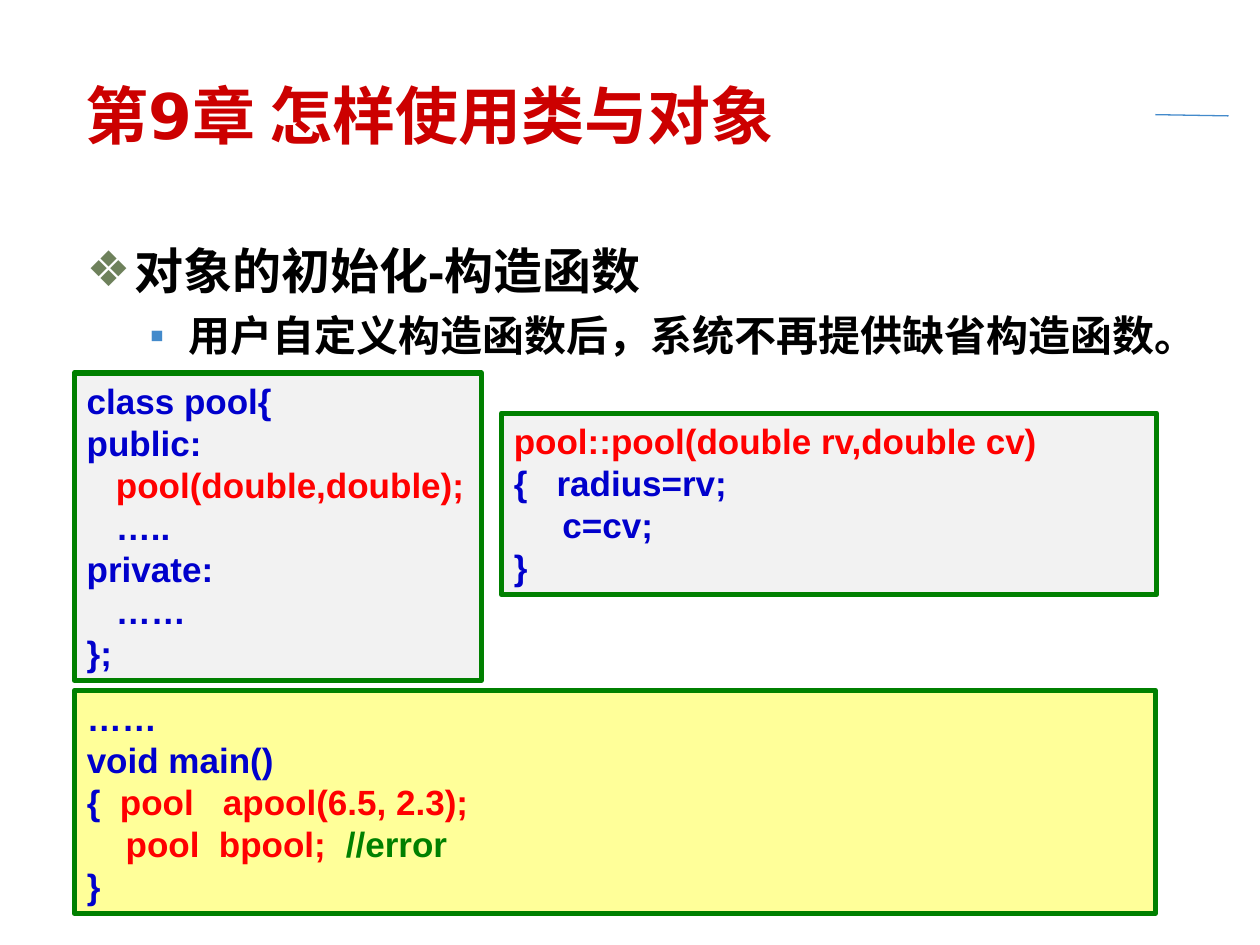
import pptx
import pptx.util
import pptx.dml.color
import pptx.enum.shapes
import pptx.enum.text
import pptx.oxml
import pptx.oxml.ns
from pptx.util import Inches

COLORS = {
    "title": "CC0000", "body": "000000", "code": "0000CC", "key": "FF0000",
    "comment": "008000", "border": "008000", "gray": "F2F2F2",
    "yellow": "FFFF99", "diamond": "6E815B", "blue": "438ACB",
}

TITLE = "第9章 怎样使用类与对象"

BULLETS = [
    ("对象的初始化-构造函数", 28, "❖", "diamond", 0.38, 0.38, 0),
    ("用户自定义构造函数后，系统不再提供缺省构造函数。", 24, "▪", "blue", 0.81, 0.31, 6),
]

CODE_BOXES = [
    ((0.59, 2.96, 3.23, 2.44), "gray", [
        [("class pool{", "code")],
        [("public:", "code")],
        [("   ", "code"), ("pool(double,double);", "key")],
        [("   …..", "code")],
        [("private:", "code")],
        [("   ……", "code")],
        [("};", "code")],
    ]),
    ((3.98, 3.28, 5.2, 1.44), "gray", [
        [("pool::pool(double rv,double cv)", "key")],
        [("{   radius=rv;", "code")],
        [("     c=cv;", "code")],
        [("}", "code")],
    ]),
    ((0.59, 5.48, 8.58, 1.77), "yellow", [
        [("……", "code")],
        [("void main()", "code")],
        [("{  ", "code"), ("pool   apool(6.5, 2.3);", "key")],
        [("    pool  bpool;  ", "key"), ("//error", "comment")],
        [("}", "code")],
    ]),
]


def rgb(name):
    return pptx.dml.color.RGBColor.from_string(COLORS[name])


def style(font, size, color, name="Arial"):
    font.name = name
    font.size = pptx.util.Pt(size)
    font.bold = True
    font.color.rgb = rgb(color)


def add_bullet(paragraph, symbol, color, margin, hanging):
    properties = paragraph._p.get_or_add_pPr()
    properties.set("marL", str(Inches(margin)))
    properties.set("indent", str(-Inches(hanging)))
    namespace = pptx.oxml.ns.nsdecls("a")
    for xml in (
        f'<a:buClr {namespace}><a:srgbClr val="{COLORS[color]}"/></a:buClr>',
        f'<a:buFont {namespace} typeface="Arial"/>',
        f'<a:buChar {namespace} char="{symbol}"/>',
    ):
        properties.append(pptx.oxml.parse_xml(xml))


def add_title(slide):
    title = slide.shapes.title
    title.left, title.top, title.width, title.height = map(Inches, (0.58, 0.6, 8.49, 0.62))
    title.text_frame.text = TITLE
    title.text_frame.vertical_anchor = pptx.enum.text.MSO_ANCHOR.MIDDLE
    paragraph = title.text_frame.paragraphs[0]
    paragraph.alignment = pptx.enum.text.PP_ALIGN.LEFT
    style(paragraph.runs[0].font, 36, "title", "DejaVu Sans")


def add_rule(slide):
    rule = slide.shapes.add_connector(
        pptx.enum.shapes.MSO_CONNECTOR.STRAIGHT, *map(Inches, (9.17, 0.91, 9.75, 0.92)))
    rule.line.color.rgb = rgb("blue")
    rule.line.width = pptx.util.Pt(0.75)
    rule._element.spPr.append(
        pptx.oxml.parse_xml(f'<a:effectLst {pptx.oxml.ns.nsdecls("a")}/>'))


def add_body(slide):
    body = slide.shapes.add_textbox(*map(Inches, (0.59, 1.86, 9.14, 1.05)))
    text_frame = body.text_frame
    text_frame.word_wrap = True
    for index, (text, size, symbol, color, margin, hanging, before) in enumerate(BULLETS):
        paragraph = text_frame.add_paragraph() if index else text_frame.paragraphs[0]
        paragraph.text = text
        paragraph.level = index
        if before:
            paragraph.space_before = pptx.util.Pt(before)
        add_bullet(paragraph, symbol, color, margin, hanging)
        style(paragraph.runs[0].font, size, "body")


def add_code_box(slide, position, fill, lines):
    box = slide.shapes.add_shape(
        pptx.enum.shapes.MSO_SHAPE.RECTANGLE, *map(Inches, position))
    box.shadow.inherit = False
    box.fill.solid()
    box.fill.fore_color.rgb = rgb(fill)
    box.line.color.rgb = rgb("border")
    box.line.width = pptx.util.Pt(3)
    text_frame = box.text_frame
    text_frame.word_wrap = True
    text_frame.auto_size = pptx.enum.text.MSO_AUTO_SIZE.SHAPE_TO_FIT_TEXT
    text_frame.vertical_anchor = pptx.enum.text.MSO_ANCHOR.TOP
    for index, line in enumerate(lines):
        paragraph = text_frame.add_paragraph() if index else text_frame.paragraphs[0]
        paragraph.alignment = pptx.enum.text.PP_ALIGN.LEFT
        for text, color in line:
            run = paragraph.add_run()
            run.text = text
            style(run.font, 20, color)


def main():
    presentation = pptx.Presentation()
    presentation.slide_width = Inches(10)
    presentation.slide_height = Inches(7.5)
    slide = presentation.slides.add_slide(presentation.slide_layouts[5])
    add_rule(slide)
    add_title(slide)
    add_body(slide)
    for position, fill, lines in CODE_BOXES:
        add_code_box(slide, position, fill, lines)
    presentation.save("out.pptx")


if __name__ == "__main__":
    main()
